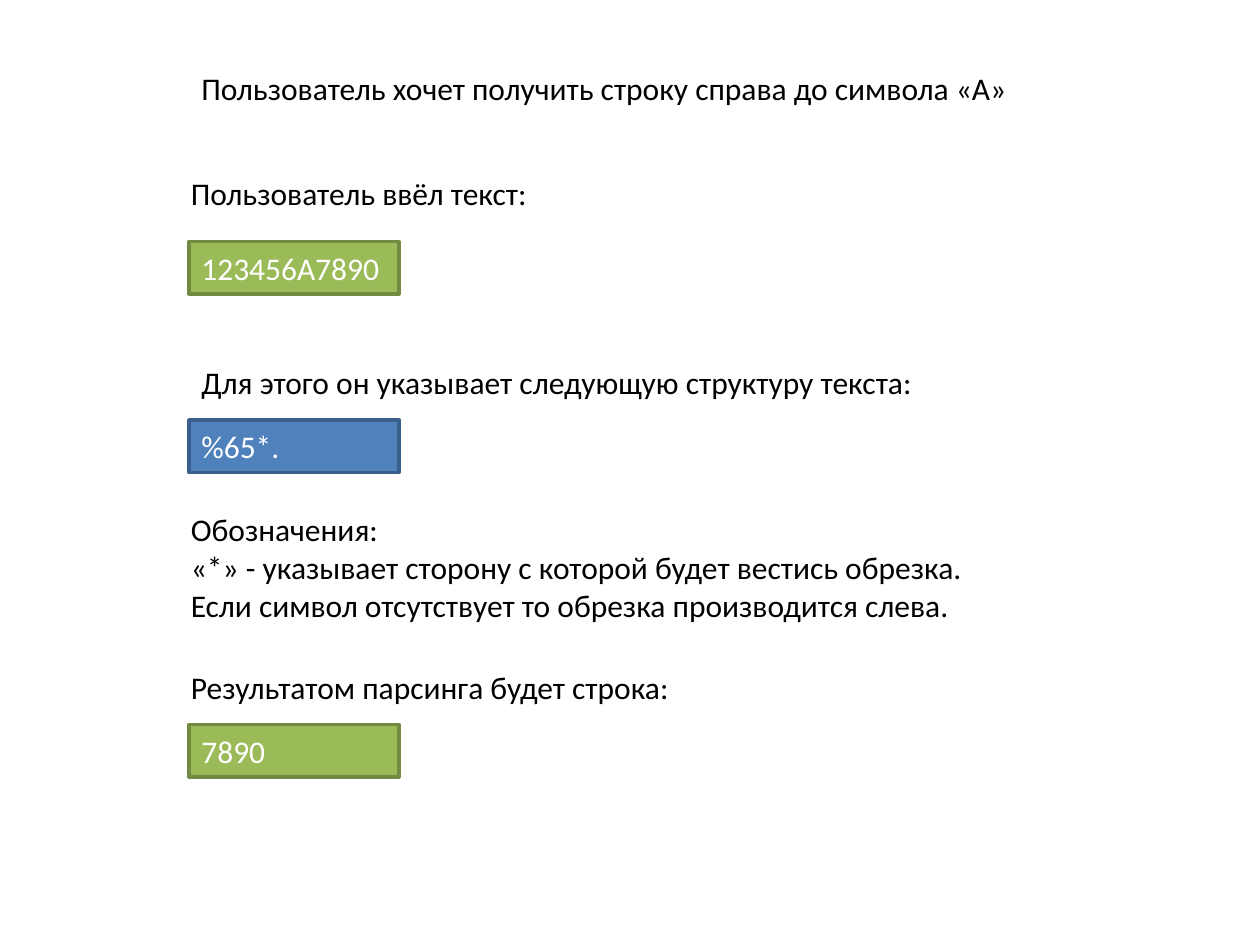
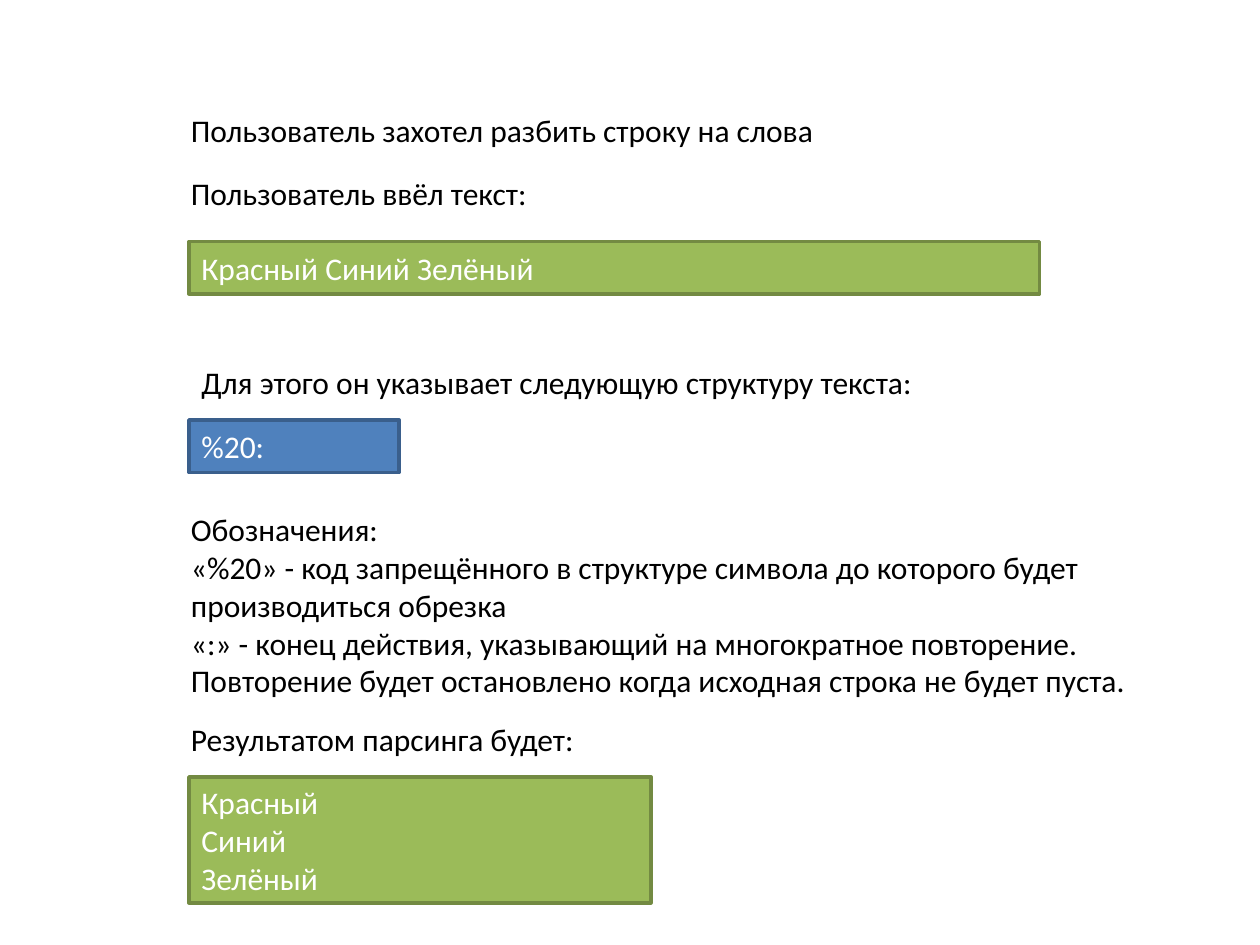
import dataclasses

import pptx
import pptx.dml.color
import pptx.enum.shapes
import pptx.enum.text
import pptx.presentation
import pptx.slide
import pptx.text.text
import pptx.util

COLORS = {
    "background": "FFFFFF",
    "caption": "000000",
    "box_text": "FFFFFF",
    "data": "9BBB59",
    "data_edge": "738A42",
    "pattern": "4F81BD",
    "pattern_edge": "3A5F8C",
}
FONT = "Calibri"
FONT_SIZE = 18
LINE_HEIGHT = 21.8
CAPTION_PADDING = 7.2
CAPTION_LEFT = 102
BOX_LEFT = 108
BOX_WIDTH = 120
BOX_HEIGHT = 30
RESULT_GAP = 36


@dataclasses.dataclass(frozen=True)
class Caption:
    text: str
    top: float
    width: float
    left: float = CAPTION_LEFT


@dataclasses.dataclass(frozen=True)
class Box:
    text: str
    top: float
    role: str = "data"
    width: float = BOX_WIDTH
    height: float = BOX_HEIGHT


@dataclasses.dataclass(frozen=True)
class Example:
    goal: Caption
    entered: str
    entered_width: float
    pattern: str
    legend: str
    legend_width: float
    result_caption: Caption
    result: str
    result_width: float = BOX_WIDTH
    result_height: float = BOX_HEIGHT


def rgb(name: str) -> pptx.dml.color.RGBColor:
    return pptx.dml.color.RGBColor.from_string(COLORS[name])


def write_text(
    frame: pptx.text.text.TextFrame,
    text: str,
    *,
    color: str,
    wrap: bool,
    anchor: pptx.enum.text.MSO_ANCHOR = pptx.enum.text.MSO_ANCHOR.TOP,
    size: float = FONT_SIZE,
) -> None:
    frame.word_wrap = wrap
    frame.vertical_anchor = anchor
    frame.text = text
    for paragraph in frame.paragraphs:
        paragraph.alignment = pptx.enum.text.PP_ALIGN.LEFT
        for run in paragraph.runs:
            run.font.name = FONT
            run.font.size = pptx.util.Pt(size)
            run.font.color.rgb = rgb(color)


def draw_caption(slide: pptx.slide.Slide, caption: Caption) -> None:
    line_count = len(caption.text.split("\n"))
    label = slide.shapes.add_textbox(
        pptx.util.Pt(caption.left),
        pptx.util.Pt(caption.top),
        pptx.util.Pt(caption.width),
        pptx.util.Pt(CAPTION_PADDING + LINE_HEIGHT * line_count),
    )
    write_text(label.text_frame, caption.text, color="caption", wrap=False)
    label.text_frame.auto_size = pptx.enum.text.MSO_AUTO_SIZE.SHAPE_TO_FIT_TEXT


def draw_box(slide: pptx.slide.Slide, box: Box) -> None:
    panel = slide.shapes.add_shape(
        pptx.enum.shapes.MSO_SHAPE.RECTANGLE,
        pptx.util.Pt(BOX_LEFT),
        pptx.util.Pt(box.top),
        pptx.util.Pt(box.width),
        pptx.util.Pt(box.height),
    )
    panel.shadow.inherit = False
    panel.fill.solid()
    panel.fill.fore_color.rgb = rgb(box.role)
    panel.line.color.rgb = rgb(box.role + "_edge")
    panel.line.width = pptx.util.Pt(2)
    write_text(
        panel.text_frame,
        box.text,
        color="box_text",
        wrap=True,
        anchor=pptx.enum.text.MSO_ANCHOR.MIDDLE,
    )


def draw_example(deck: pptx.presentation.Presentation, example: Example) -> None:
    slide = deck.slides.add_slide(deck.slide_layouts[6])
    slide.background.fill.solid()
    slide.background.fill.fore_color.rgb = rgb("background")

    draw_caption(slide, example.goal)
    draw_caption(slide, Caption("Пользователь ввёл текст:", 96, 208.8))
    draw_box(slide, Box(example.entered, 138, width=example.entered_width))
    draw_caption(
        slide,
        Caption("Для этого он указывает следующую структуру текста:", 204, 425.5, BOX_LEFT),
    )
    draw_box(slide, Box(example.pattern, 240, role="pattern"))
    draw_caption(slide, Caption(example.legend, 288, example.legend_width))
    draw_caption(slide, example.result_caption)
    draw_box(
        slide,
        Box(
            example.result,
            example.result_caption.top + RESULT_GAP,
            width=example.result_width,
            height=example.result_height,
        ),
    )


EXAMPLES = [
    Example(
        goal=Caption("Пользователь хочет получить строку справа до символа «A»", 36, 482.4, BOX_LEFT),
        entered="123456A7890",
        entered_width=BOX_WIDTH,
        pattern="%65*.",
        legend=(
            "Обозначения:\n"
            "«*» - указывает сторону с которой будет вестись обрезка.\n"
            "Если символ отсутствует то обрезка производится слева."
        ),
        legend_width=460.8,
        result_caption=Caption("Результатом парсинга будет строка:", 378, 290.9),
        result="7890",
    ),
    Example(
        goal=Caption("Пользователь захотел разбить строку на слова", 60, 374.4),
        entered="Красный Синий Зелёный",
        entered_width=486,
        pattern="%20:",
        legend=(
            "Обозначения:\n"
            "«%20» - код запрещённого в структуре символа до которого будет\n"
            "производиться обрезка\n"
            "«:» - конец действия, указывающий на многократное повторение.\n"
            "Повторение будет остановлено когда исходная строка не будет пуста."
        ),
        legend_width=550,
        result_caption=Caption("Результатом парсинга будет:", 408, 236.2),
        result="Красный\nСиний\nЗелёный",
        result_width=264,
        result_height=72,
    ),
]


def main() -> None:
    deck = pptx.Presentation()
    deck.slide_width = pptx.util.Pt(720)
    deck.slide_height = pptx.util.Pt(540)
    for example in EXAMPLES:
        draw_example(deck, example)
    deck.save("out.pptx")


main()
